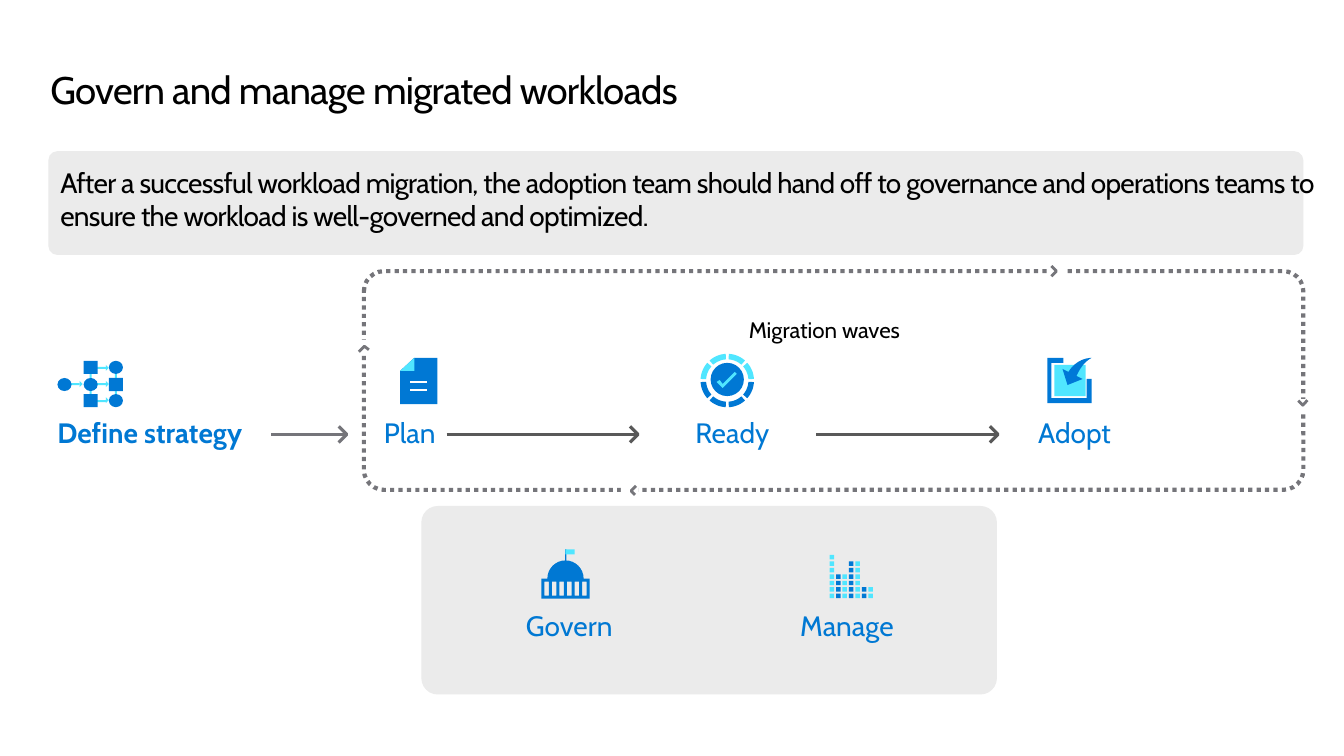
from dataclasses import dataclass, field
from math import cos, pi, sin

from lxml.etree import SubElement
from pptx import Presentation
from pptx.dml.color import RGBColor as Rgb
from pptx.enum.dml import MSO_LINE as Dash
from pptx.enum.shapes import MSO_CONNECTOR as Link, MSO_SHAPE as Kind
from pptx.oxml.ns import qn
from pptx.util import Emu, Inches, Pt

# Grid: 133.33 columns by 75 rows of square cells
CELL = Inches(0.1)
COLUMNS, ROWS = 133.33, 75
FONT = "Cabin"
COLOURS = {"panel": "EBEBEB", "text": "000000", "label": "0078D3", "icon": "0078D4",
           "adopt": "0078D7", "accent": "50E6FF", "loop": "75757A", "step": "595959",
           "paper": "FFFFFF"}
Point = tuple[float, float]


@dataclass
class Block:
    left: float
    top: float
    width: float
    height: float
    colour: str
    kind: Kind = Kind.RECTANGLE
    corner: float = 0


@dataclass
class Label:
    words: str
    left: float
    top: float
    width: float
    height: float
    size: float = 20
    colour: str = "label"
    bold: bool = False
    tracking: int = 0
    inset: Point = (1, 1.6)
    spacing: dict = field(default_factory=lambda: {"line_spacing": 0.9, "space_after": Pt(6)})


@dataclass
class Arrow:
    start: float
    end: float
    colour: str


def grid(cells: float) -> Emu:
    return Emu(round(cells * CELL))


def rgb(colour: str) -> Rgb:
    return Rgb.from_string(COLOURS[colour])


def apply(target, formats: dict) -> None:
    for name, value in formats.items():
        setattr(target, name, value)


def paint(shape, colour: str) -> None:
    shape.shadow.inherit = False
    shape.fill.solid()
    shape.fill.fore_color.rgb = rgb(colour)
    shape.line.fill.background()


def stroke(shape, colour: str, width: float) -> None:
    shape.line.color.rgb = rgb(colour)
    shape.line.width = Pt(width)


def draw_block(slide, block: Block):
    shape = slide.shapes.add_shape(block.kind, *map(grid, (block.left, block.top,
                                                           block.width, block.height)))
    if block.corner:
        shape.adjustments[0] = block.corner
    paint(shape, block.colour)
    return shape


def draw_outline(slide, contours: list[list[Point]], colour: str, width: float = 0) -> None:
    """Fill closed contours, or stroke open ones when a width is given."""
    cells = [[(grid(x), grid(y)) for x, y in contour] for contour in contours]
    builder = slide.shapes.build_freeform(*cells[0][0], scale=1.0)
    for index, contour in enumerate(cells):
        if index:
            builder.move_to(*contour[0])
        builder.add_line_segments(contour[1:], close=not width)
    shape = builder.convert_to_shape()
    paint(shape, colour)
    if width:
        shape.fill.background()
        stroke(shape, colour, width)


def draw_line(slide, start: Point, end: Point, colour: str, width: float) -> None:
    line = slide.shapes.add_connector(Link.STRAIGHT, *map(grid, (*start, *end)))
    stroke(line, colour, width)
    SubElement(line._element.spPr, qn("a:effectLst"))


def draw_label(slide, label: Label) -> None:
    box = slide.shapes.add_textbox(*map(grid, (label.left, label.top, label.width, label.height)))
    across, down = map(grid, label.inset)
    apply(box.text_frame, {"word_wrap": True, "margin_left": across, "margin_right": across,
                           "margin_top": down, "margin_bottom": down})
    paragraph = box.text_frame.paragraphs[0]
    apply(paragraph, label.spacing)
    run = paragraph.add_run()
    run.text = label.words
    apply(run.font, {"name": FONT, "size": Pt(label.size), "bold": label.bold})
    run.font.color.rgb = rgb(label.colour)
    if label.tracking:
        run._r.get_or_add_rPr().set("spc", str(label.tracking))


def arc(centre: Point, radius: float, start: float, end: float, steps: int = 16) -> list[Point]:
    angles = [start + (end - start) * step / steps for step in range(steps + 1)]
    return [(centre[0] + radius * cos(a), centre[1] + radius * sin(a)) for a in angles]


def curve(points: list[Point], steps: int = 8) -> list[Point]:
    """Sample a cubic curve from its four control points."""
    samples = [step / steps for step in range(steps + 1)]
    return [tuple(sum(weight * p[axis] for weight, p in zip(
        ((1 - t) ** 3, 3 * t * (1 - t) ** 2, 3 * t * t * (1 - t), t ** 3), points))
        for axis in (0, 1)) for t in samples]


def rectangle(left: float, top: float, width: float, height: float) -> list[Point]:
    return [(left, top), (left + width, top), (left + width, top + height), (left, top + height)]


PANELS = [Block(4.8, 15, 124.5, 10.3, "panel", Kind.ROUNDED_RECTANGLE, 0.087),
          Block(41.8, 50.2, 57.1, 18.7, "panel", Kind.ROUNDED_RECTANGLE, 0.087)]
LABELS = [
    Label("Govern and manage migrated workloads", 5, 6.8, 123.6, 8.7, 27.4, "text",
          tracking=-50, inset=(0, 0), spacing={"line_spacing": Pt(31.4)}),
    Label("After a successful workload migration, the adoption team should hand off to governance "
          "and operations teams to ensure the workload is well-governed and optimized.",
          5, 15.9, 126.3, 8.2, 20, "text", tracking=-50, inset=(1, 0.5), spacing={}),
    Label("Define strategy", 4.7, 40.1, 25.2, 6.8, bold=True),
    Label("Plan", 37.1, 40.1, 23.8, 6.8),
    Label("Ready", 68, 40.1, 24.9, 6.8),
    Label("Adopt", 102, 40.1, 26.7, 6.8),
    Label("Govern", 51.2, 59.2, 11.4, 6.8),
    Label("Manage", 78.4, 59.2, 12.4, 6.8),
    Label("Migration waves", 73.3, 31.4, 18.8, 2.7, 16, "text", inset=(1, 0), spacing={}),
]
STEP_ROW = 43.1
ARROWS = [Arrow(26.9, 34.4, "loop"), Arrow(44.3, 63.3, "step"), Arrow(81, 99, "step")]

# Strategy: links, then nodes, then link tips
STRATEGY_LINKS = [Block(8.9, 39.7, 1.6, 0.2, "accent"), Block(8.9, 36.4, 1.6, 0.2, "accent"),
                  Block(8.9, 36.4, 0.2, 3.2, "accent"), Block(11.4, 36.5, 0.2, 3.5, "accent"),
                  Block(9.2, 38, 1.4, 0.2, "accent"), Block(6.5, 38, 1.4, 0.2, "accent")]
STRATEGY_NODES = [Block(left, top, 1.4, 1.3, "icon", kind) for left, top, kind in (
    (10.8, 35.8, Kind.OVAL), (10.8, 37.5, Kind.RECTANGLE), (10.8, 39.1, Kind.OVAL),
    (5.7, 37.5, Kind.OVAL), (8.3, 37.5, Kind.OVAL),
    (8.3, 35.8, Kind.RECTANGLE), (8.3, 39.1, Kind.RECTANGLE))]
STRATEGY_TIPS = [(10.8, 39.7), (10.8, 38.1), (10.8, 36.5), (8.2, 38.1)]

READY_CENTRE = (72.15, 37.75)
MANAGE_BARS = [7, 4, 4, 6, 6, 2, 2]

# Migration loop: gaps in the dotted frame and the chevrons inside them
LOOP_GAPS = [(104.1, 26.5, 1.7, 1.1), (128.5, 39.6, 1.4, 1.3),
             (61.6, 48, 1.7, 1.1), (35.5, 33.7, 1.4, 1.3)]
LOOP_CHEVRONS = [[(104.3, 26.4), (104.8, 26.9), (104.3, 27.4)],
                 [(129.7, 39.7), (129.25, 40.2), (128.8, 39.75)],
                 [(63, 49.1), (62.6, 48.7), (63.1, 48.2)],
                 [(35.6, 34.9), (36.15, 34.35), (36.6, 34.7)]]


def draw_strategy(slide) -> None:
    for part in STRATEGY_LINKS + STRATEGY_NODES:
        draw_block(slide, part)
    for x, y in STRATEGY_TIPS:
        draw_outline(slide, [[(x - 0.3, y - 0.3), (x, y), (x - 0.3, y + 0.3)]], "accent")


def draw_plan(slide) -> None:
    draw_outline(slide, [[(41.1, 35.5), (39.7, 36.8), (39.7, 40.1), (43.4, 40.1), (43.4, 35.5)]],
                 "icon")
    draw_outline(slide, [[(41.1, 36.8), (39.7, 36.8), (41.1, 35.5)]], "accent")
    for row in (37.9, 38.7):
        draw_line(slide, (40.7, row), (42.4, row), "paper", 1.38)


def draw_ready(slide) -> None:
    draw_block(slide, Block(70.5, 36, 3.3, 3.3, "icon", Kind.OVAL))
    draw_outline(slide, [[(73.1, 37.1), (72.9, 36.9), (71.7, 38.1), (71.4, 37.7), (71.1, 37.9),
                          (71.7, 38.5)]], "accent")
    for part in range(8):
        start, end = part * pi / 4 + 0.06, (part + 1) * pi / 4 - 0.06
        ring = arc(READY_CENTRE, 2.65, start, end) + arc(READY_CENTRE, 2.1, end, start)
        draw_outline(slide, [ring], "icon" if part < 4 else "accent")


def draw_adopt(slide) -> None:
    draw_block(slide, Block(104.6, 36.2, 3.1, 3.1, "accent"))
    draw_outline(slide, [[(107.8, 37.6), (107.8, 39.5), (104.3, 39.5), (104.3, 36), (105.5, 36),
                          (105.5, 35.5), (103.9, 35.5), (103.9, 40), (108.3, 40),
                          (108.3, 37.6)]], "adopt")
    outer = curve([(108.2, 35.5), (106.8, 35.6), (106.1, 36.7), (106, 36.9)])
    inner = curve([(106.8, 37.3), (107, 36.8), (107.5, 35.9), (108.3, 35.5)])
    draw_outline(slide, [outer + [(105.4, 36.6), (105.9, 38.2), (107.4, 37.6)] + inner], "adopt")


def draw_govern(slide) -> None:
    hall = [(53.7, 59.4), (53.7, 57.4), *arc((56.1, 57.4), 1.8, pi, 2 * pi),
            (58.5, 57.4), (58.5, 59.4)]
    windows = [rectangle(54 + 0.75 * bay, 57.7, 0.45, 1.4) for bay in range(6)]
    draw_outline(slide, [hall, *windows], "label")
    draw_block(slide, Block(56.05, 54.5, 0.13, 1.3, "label"))
    draw_block(slide, Block(56.1, 54.5, 0.9, 0.5, "accent"))


def draw_manage(slide) -> None:
    for column, count in enumerate(MANAGE_BARS):
        for level in range(count):
            draw_block(slide, Block(82.3 + 0.64 * column, 58.9 - 0.64 * level, 0.45, 0.45,
                                    "icon" if column % 2 else "accent"))


def draw_loop(slide) -> None:
    frame = draw_block(slide, Block(36.1, 26.9, 93.2, 21.7, "paper",
                                    Kind.ROUNDED_RECTANGLE, 0.092))
    frame.fill.background()
    stroke(frame, "loop", 3)
    frame.line.dash_style = Dash.ROUND_DOT
    for gap, chevron in zip(LOOP_GAPS, LOOP_CHEVRONS):
        draw_block(slide, Block(*gap, "paper"))
        draw_outline(slide, [chevron], "loop", 2)


def main() -> None:
    deck = Presentation()
    apply(deck, {"slide_width": grid(COLUMNS), "slide_height": grid(ROWS)})
    slide = deck.slides.add_slide(deck.slide_layouts[6])
    for panel in PANELS:
        draw_block(slide, panel)
    for label in LABELS:
        draw_label(slide, label)
    for arrow in ARROWS:
        tip = arrow.end
        draw_line(slide, (arrow.start, STEP_ROW), (tip, STEP_ROW), arrow.colour, 2.25)
        draw_outline(slide, [[(tip - 0.8, STEP_ROW - 0.8), (tip, STEP_ROW),
                              (tip - 0.8, STEP_ROW + 0.8)]], arrow.colour, 2.25)
    for draw_part in (draw_strategy, draw_plan, draw_ready, draw_adopt, draw_govern,
                      draw_manage, draw_loop):
        draw_part(slide)
    deck.save("out.pptx")


if __name__ == "__main__":
    main()
